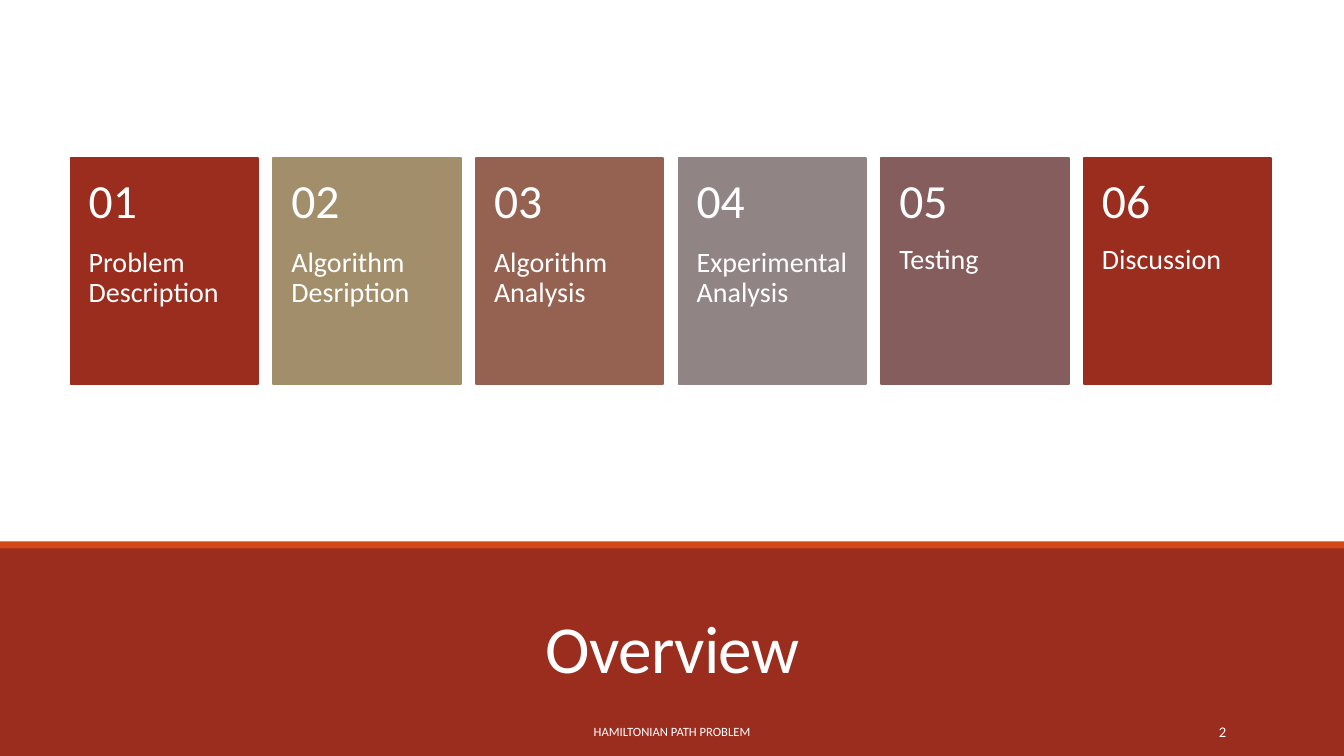
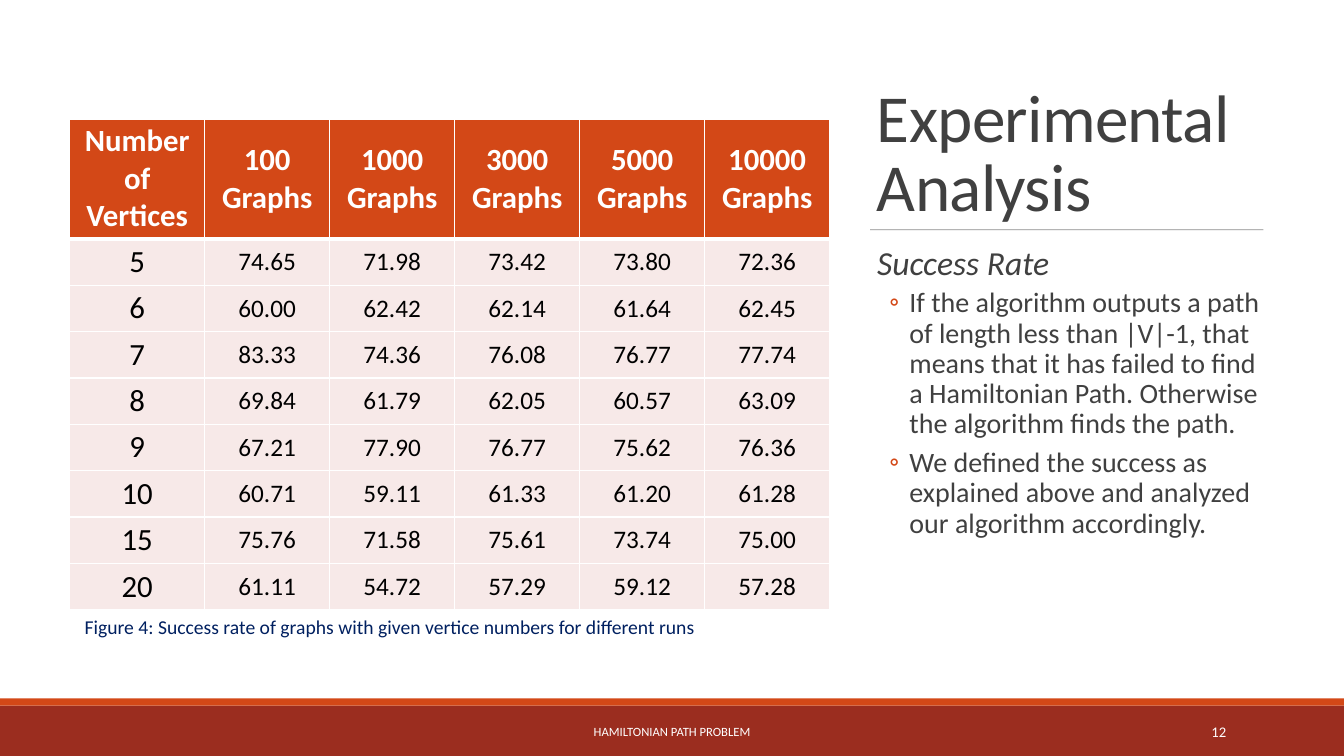
"""Build two slides of a talk on the Hamiltonian path problem."""
from lxml.etree import SubElement
from pptx import Presentation
from pptx.dml.color import RGBColor
from pptx.enum.shapes import MSO_CONNECTOR, MSO_SHAPE
from pptx.enum.text import MSO_ANCHOR, PP_ALIGN
from pptx.oxml.ns import qn
from pptx.util import Pt

PX = 9144
W, H = 1333, 750
FONT = "Calibri"
WHITE = RGBColor(0xFF, 0xFF, 0xFF)
BLACK = RGBColor(0x00, 0x00, 0x00)
DARK = RGBColor(0x40, 0x40, 0x40)
GRAY = RGBColor(0x80, 0x80, 0x80)
NAVY = RGBColor(0x00, 0x20, 0x60)
RED = RGBColor(0x9B, 0x2D, 0x1F)
ORANGE = RGBColor(0xD3, 0x48, 0x17)
TAN = RGBColor(0xA2, 0x8E, 0x6A)
BROWN = RGBColor(0x95, 0x62, 0x51)
TAUPE = RGBColor(0x91, 0x84, 0x85)
MAUVE = RGBColor(0x85, 0x5D, 0x5D)
PINK = RGBColor(0xF7, 0xE9, 0xE8)

MIDDLE = {"vertical_anchor": MSO_ANCHOR.MIDDLE}
BOTTOM = {"vertical_anchor": MSO_ANCHOR.BOTTOM}
CENTER = {"alignment": PP_ALIGN.CENTER}
RIGHT = {"alignment": PP_ALIGN.RIGHT}


def add_box(s, box, fill=None):
    box = [v * PX for v in box]
    if fill is None:
        sp = s.shapes.add_textbox(*box)
        sp.text_frame.word_wrap = True
        return sp
    sp = s.shapes.add_shape(MSO_SHAPE.RECTANGLE, *box)
    sp.shadow.inherit = False
    sp.fill.solid()
    sp.fill.fore_color.rgb = fill
    sp.line.fill.background()
    return sp


def write(tf, p, text, size, color, para={}, frame={}, font={}):
    r = p.add_run()
    r.text = text
    r.font.color.rgb = color
    run_format = {"name": FONT, "size": Pt(size), **font}
    for target, values in ((tf, frame), (p, para), (r.font, run_format)):
        for name, value in values.items():
            setattr(target, name, value)
    return r


prs = Presentation()
prs.slide_width, prs.slide_height = W * PX, H * PX

pages = [
    ("2", 537, 542, "Overview", (117, 574, 1100, 113), WHITE, CENTER),
    ("12", 693, 700, "Experimental Analysis", (860, 69, 404, 159), DARK, {}),
]
for number, strip_top, band_top, title, title_box, color, align in pages:
    s = prs.slides.add_slide(prs.slide_layouts[6])
    add_box(s, (0, band_top, W, H - band_top), RED)
    add_box(s, (0, strip_top, W, 7), ORANGE)
    tf = add_box(s, title_box).text_frame
    r = write(tf, tf.paragraphs[0], title, 48, color, {"line_spacing": 0.85, **align}, BOTTOM)
    r._r.get_or_add_rPr().set("spc", "-50")
    for box, text, size, para in [
        ((403, 706, 527, 40), "HAMILTONIAN PATH PROBLEM", 9, CENTER),
        ((1083, 706, 143, 40), number, 10.5, RIGHT),
    ]:
        tf = add_box(s, box).text_frame
        write(tf, tf.paragraphs[0], text, size, WHITE, para, MIDDLE)
overview, analysis = prs.slides

tiles = [
    ("Problem Description", RED),
    ("Algorithm Desription", TAN),
    ("Algorithm Analysis", BROWN),
    ("Experimental Analysis", TAUPE),
    ("Testing", MAUVE),
    ("Discussion", RED),
]
sides = {"margin_left": 18 * PX, "margin_right": 18 * PX}
number_frame = {**sides, **MIDDLE, "margin_top": 18 * PX, "margin_bottom": 18 * PX}
topic_frame = {**sides, "margin_top": 0, "margin_bottom": 36 * PX}
for i, (topic, color) in enumerate(tiles):
    x = 70 + 201 * i
    sp = add_box(overview, (x, 157, 186, 224), color)
    sp.line.color.rgb = color
    sp.line.width = Pt(1.25)
    for y, h, text, size, frame in [
        (157, 89, f"{i + 1:02}", 34, number_frame),
        (246, 134, topic, 20, topic_frame),
    ]:
        tf = add_box(overview, (x, y, 186, h)).text_frame
        write(tf, tf.paragraphs[0], text, size, WHITE, {"line_spacing": 0.9}, frame)

rule = analysis.shapes.add_connector(MSO_CONNECTOR.STRAIGHT, 863 * PX, 228 * PX, 1253 * PX, 228 * PX)
rule.line.color.rgb = GRAY
rule.line.width = Pt(0.5)
SubElement(rule.line.color._xFill.find(qn("a:srgbClr")), qn("a:alpha"), val="90000")
SubElement(rule._element.spPr, qn("a:effectLst"))

tf = add_box(analysis, (860, 240, 404, 401)).text_frame
lead = {"line_spacing": 0.9, "space_before": Pt(12), "space_after": Pt(2)}
r = write(tf, tf.paragraphs[0], "Success Rate", 24, DARK, lead,
          {"margin_left": 0, "margin_right": 0}, {"italic": True})
tf.paragraphs[0]._p.get_or_add_pPr().set("marL", str(10 * PX))
points = [
    "If the algorithm outputs a path of length less than |V|-1, that means that it has failed "
    "to find a Hamiltonian Path. Otherwise the algorithm finds the path.",
    "We defined the success as explained above and analyzed our algorithm accordingly.",
]
point = {"level": 1, "line_spacing": 0.9, "space_before": Pt(2), "space_after": Pt(4)}
for text in points:
    p = tf.add_paragraph()
    write(tf, p, text, 20, DARK, point)
    pPr = p._p.get_or_add_pPr()
    pPr.set("marL", str(42 * PX))
    pPr.set("indent", str(-20 * PX))
    SubElement(SubElement(pPr, qn("a:buClr")), qn("a:srgbClr"), val=str(ORANGE))
    SubElement(pPr, qn("a:buFont"), typeface=FONT)
    SubElement(pPr, qn("a:buChar"), char="◦")

rows = [
    ["Number of Vertices"] + [f"{n} Graphs" for n in (100, 1000, 3000, 5000, 10000)],
    ["5", "74.65", "71.98", "73.42", "73.80", "72.36"],
    ["6", "60.00", "62.42", "62.14", "61.64", "62.45"],
    ["7", "83.33", "74.36", "76.08", "76.77", "77.74"],
    ["8", "69.84", "61.79", "62.05", "60.57", "63.09"],
    ["9", "67.21", "77.90", "76.77", "75.62", "76.36"],
    ["10", "60.71", "59.11", "61.33", "61.20", "61.28"],
    ["15", "75.76", "71.58", "75.61", "73.74", "75.00"],
    ["20", "61.11", "54.72", "57.29", "59.12", "57.28"],
]
table = analysis.shapes.add_table(len(rows), 6, 69 * PX, 118 * PX, 754 * PX, 487 * PX).table
for j, column in enumerate(table.columns):
    column.width = (124 if j else 134) * PX
for i, row in enumerate(rows):
    table.rows[i].height = (46 if i else 119) * PX
    for j, text in enumerate(row):
        cell = table.cell(i, j)
        inner = i > 0 and j > 0
        pad = 0 if inner else 2 * PX
        cell_format = {"margin_left": 3 * PX, "margin_right": 3 * PX,
                       "margin_top": pad, "margin_bottom": pad, **MIDDLE}
        for name, value in cell_format.items():
            setattr(cell, name, value)
        tcPr = cell._tc.get_or_add_tcPr()
        for edge in ("lnL", "lnR", "lnT", "lnB"):
            thick = (i, edge) in ((0, "lnB"), (1, "lnT"))
            ln = SubElement(tcPr, qn(f"a:{edge}"), w=str(Pt(3 if thick else 1)))
            SubElement(SubElement(ln, qn("a:solidFill")), qn("a:srgbClr"), val=str(WHITE))
        cell.fill.solid()
        cell.fill.fore_color.rgb = PINK if i else ORANGE
        tf = cell.text_frame
        write(tf, tf.paragraphs[0], text, 18 if inner else 22, BLACK if i else WHITE,
              CENTER, font={"bold": i == 0})

tf = add_box(analysis, (74, 605, 631, 34)).text_frame
write(tf, tf.paragraphs[0], "Figure 4: Success rate of graphs with given vertice numbers for different runs",
      14, NAVY, frame={"word_wrap": False})

prs.save("out.pptx")
